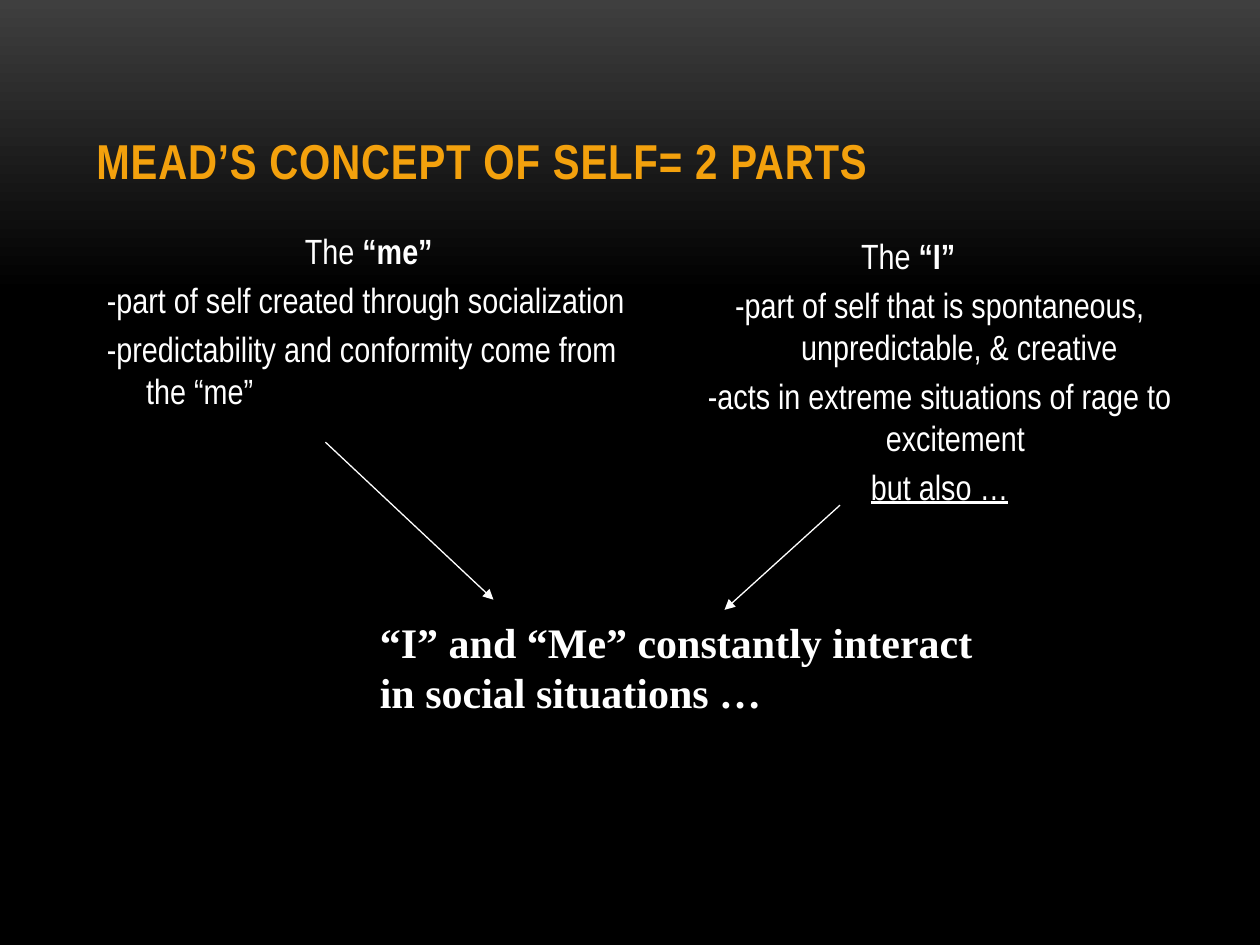
from dataclasses import dataclass

from pptx import Presentation
from pptx.dml.color import RGBColor
from pptx.enum.shapes import MSO_CONNECTOR
from pptx.enum.text import MSO_ANCHOR, PP_ALIGN
from pptx.oxml.ns import qn
from pptx.util import Pt
from lxml import etree

STRAIGHT = MSO_CONNECTOR.STRAIGHT
TOP, BOTTOM = MSO_ANCHOR.TOP, MSO_ANCHOR.BOTTOM
LEFT, CENTER = PP_ALIGN.LEFT, PP_ALIGN.CENTER


@dataclass(frozen=True)
class Theme:
    """Colours, fonts and type sizes of the slide."""
    glow: RGBColor = RGBColor(0x3F, 0x3F, 0x3F)
    night: RGBColor = RGBColor(0, 0, 0)
    accent: RGBColor = RGBColor(0xF3, 0xA1, 0x0D)
    ink: RGBColor = RGBColor(0xFF, 0xFF, 0xFF)
    sans: str = "Arial Narrow"
    serif: str = "Times New Roman"
    title_size: int = 28
    body_size: int = 20
    summary_size: int = 24


THEME = Theme()
BODY = {"name": THEME.sans, "size": Pt(THEME.body_size)}
BOLD = BODY | {"bold": True}
UNDERLINED = BODY | {"underline": True}
HEADING = BOLD | {"size": Pt(THEME.title_size)}
SUMMARY = {"name": THEME.serif, "size": Pt(THEME.summary_size), "bold": True}
SHALLOW, DEEP = (27, -27), (58.5, -22.5)


def paint_background(page):
    """Fill the page with a vertical fade from grey to black."""
    fill = page.background.fill
    fill.gradient()
    fill.gradient_angle = 270
    for stop, color, position in zip(fill.gradient_stops, (THEME.glow, THEME.night), (0, 0.31)):
        stop.color.rgb = color
        stop.position = position


def add_frame(page, box, anchor=TOP, inset=3.6):
    """Add a wrapping text box and return its text frame."""
    frame = page.shapes.add_textbox(*map(Pt, box)).text_frame
    settings = {"word_wrap": True, "vertical_anchor": anchor, "margin_top": Pt(inset)}
    for name, value in settings.items():
        setattr(frame, name, value)
    return frame


def add_span(para, text, style, color=THEME.ink):
    """Add a formatted run to a paragraph."""
    span = para.add_run()
    span.text = text
    span.font.color.rgb = color
    for name, value in style.items():
        setattr(span.font, name, value)
    return span


def indent(para, margin, hanging):
    """Set the left margin and first-line indent of a paragraph."""
    settings = para._p.get_or_add_pPr()
    settings.set("marL", str(Pt(margin)))
    settings.set("indent", str(Pt(hanging)))


def add_title(page, box, text):
    """Place the letter-spaced title at the bottom of its box."""
    para = add_frame(page, box, BOTTOM).paragraphs[0]
    span = add_span(para, text, HEADING, THEME.accent)
    span.font._element.set("spc", "50")


def add_column(page, box, lines):
    """Place one part of the self, with its name above its traits."""
    frame = add_frame(page, box, inset=31.6)
    for index, (align, margins, spans) in enumerate(lines):
        para = frame.add_paragraph() if index else frame.paragraphs[0]
        para.alignment = align
        para.space_before = Pt(4 if index else 0)
        indent(para, *margins)
        for text, style in spans:
            add_span(para, text, style)


def add_summary(page, box, text):
    """Place the closing statement."""
    para = add_frame(page, box).paragraphs[0]
    indent(para, 36, 0)
    add_span(para, text, SUMMARY)


def add_arrow(page, start, end):
    """Draw a thin arrow from start to end."""
    arrow = page.shapes.add_connector(STRAIGHT, *map(Pt, start + end))
    arrow.line.color.rgb = THEME.ink
    arrow.line.width = Pt(0.75)
    etree.SubElement(arrow.line._get_or_add_ln(), qn("a:tailEnd"), type="triangle")
    etree.SubElement(arrow._element.spPr, qn("a:effectLst"))


def main():
    """Build the slide and save it."""
    deck = Presentation()
    deck.slide_width, deck.slide_height = Pt(720), Pt(540)
    page = deck.slides.add_slide(deck.slide_layouts[6])
    paint_background(page)
    add_title(page, (48, 21.6, 624, 90), "MEAD’S CONCEPT OF SELF= 2 PARTS")
    add_column(page, (18, 99.4, 354, 192), [
        (CENTER, DEEP, [("The ", BODY), ("“me” ", BOLD)]),
        (LEFT, DEEP, [("-part of self created through socialization", BODY)]),
        (LEFT, DEEP, [("-predictability and conformity come from the “me”", BODY)]),
    ])
    add_column(page, (342, 102.2, 354, 234), [
        (CENTER, SHALLOW, [("The ", BODY), ("“I”", BOLD)]),
        (CENTER, DEEP, [("-part of self that is spontaneous, unpredictable, & creative", BODY)]),
        (CENTER, DEEP, [("-acts in extreme situations of rage to excitement ", BODY)]),
        (CENTER, DEEP, [("but also …", UNDERLINED)]),
    ])
    add_summary(page, (174, 348.5, 396, 100.8),
                "“I” and “Me” constantly interact in social situations …")
    add_arrow(page, (186, 252.7), (282, 342.7))
    add_arrow(page, (480, 288.7), (414, 348.5))
    deck.save("out.pptx")


if __name__ == "__main__":
    main()
